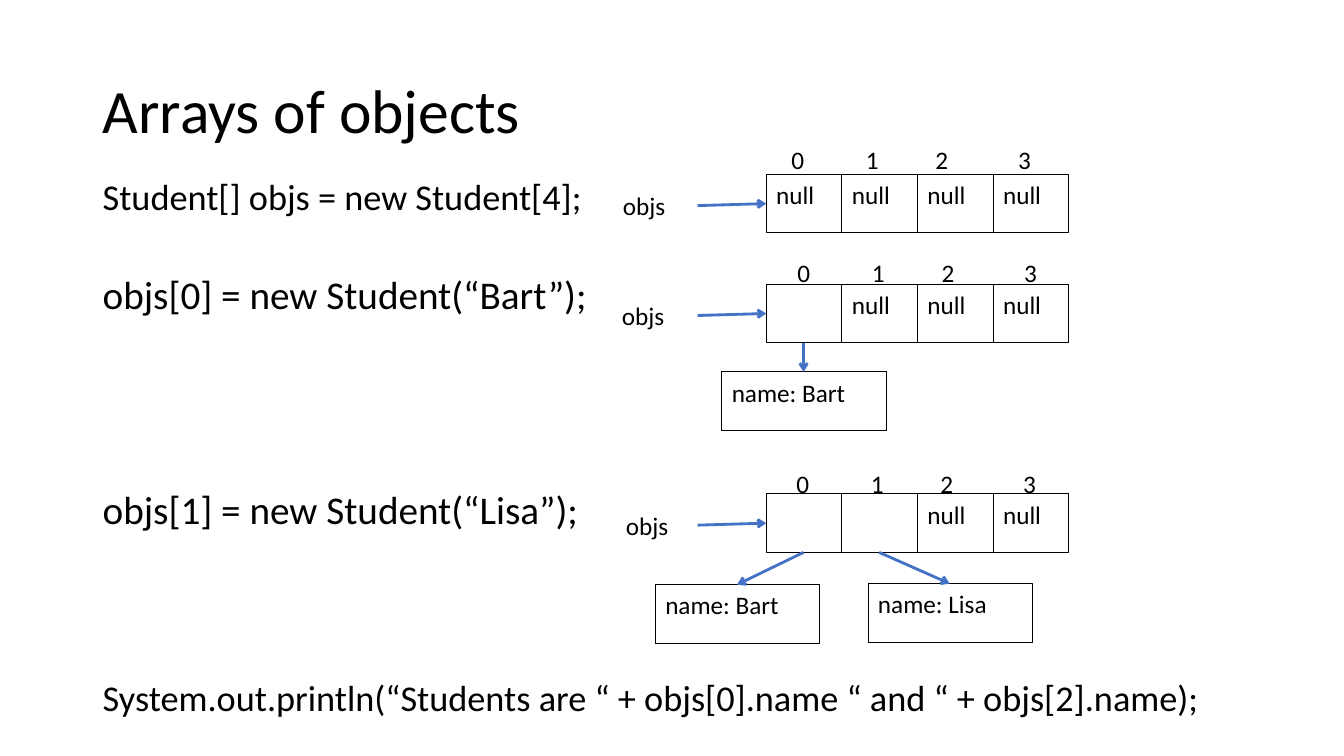
from lxml import etree
from pptx import Presentation
from pptx import util as u
from pptx.dml.color import RGBColor
from pptx.enum import shapes, text
from pptx.oxml import ns

PX = 9144  # EMU per px, 100 px to the inch
COLORS = {"ink": "000000", "arrow": "4472C4"}
CELL_LEFT, CELL_PITCH, BOX_HEIGHT, OBJECT_WIDTH = 760, 75, 58, 163
INDEX_OFFSETS = (0, 74, 143, 225)


class Sketch:
    font = "Calibri"

    def __init__(self, presentation):
        layout = presentation.slide_layouts.get_by_name("Title Only")
        self.slide = presentation.slides.add_slide(layout)

    def color(self, name):
        return RGBColor.from_string(COLORS[name])

    def set_text(self, shape, words, size, anchor=text.MSO_ANCHOR.TOP):
        frame = shape.text_frame
        frame.text = words
        frame.word_wrap = True
        frame.vertical_anchor = anchor
        paragraph = frame.paragraphs[0]
        paragraph.alignment = text.PP_ALIGN.LEFT
        for run in paragraph.runs:
            run.font.name = self.font
            run.font.size = u.Pt(size)
            run.font.color.rgb = self.color("ink")
        return paragraph

    def title(self, words, left, top, width, height):
        shape = self.slide.shapes.title
        shape.left, shape.top = left * PX, top * PX
        shape.width, shape.height = width * PX, height * PX
        paragraph = self.set_text(shape, words, 44, text.MSO_ANCHOR.MIDDLE)
        paragraph.line_spacing = 0.9

    def label(self, words, left, top, width, height=40, size=18):
        shape = self.slide.shapes.add_textbox(
            left * PX, top * PX, width * PX, height * PX)
        return self.set_text(shape, words, size)

    def code(self, words, top, size, width=502):
        paragraph = self.label(words, 92, top, width, 80, size)
        paragraph.line_spacing = 0.9
        paragraph.space_before = u.Pt(10)

    def box(self, words, left, top, width):
        shape = self.slide.shapes.add_shape(
            shapes.MSO_SHAPE.RECTANGLE,
            left * PX, top * PX, width * PX, BOX_HEIGHT * PX)
        shape.shadow.inherit = False
        shape.fill.background()
        shape.line.color.rgb = self.color("ink")
        shape.line.width = u.Pt(0.75)
        self.set_text(shape, words, 18)

    def arrow(self, x1, y1, x2, y2):
        connector = self.slide.shapes.add_connector(
            shapes.MSO_CONNECTOR.STRAIGHT, x1 * PX, y1 * PX, x2 * PX, y2 * PX)
        connector.line.color.rgb = self.color("arrow")
        connector.line.width = u.Pt(2)
        properties = connector._element.spPr
        line = properties.find(ns.qn("a:ln"))
        etree.SubElement(line, ns.qn("a:tailEnd"), type="arrow")
        etree.SubElement(properties, ns.qn("a:effectLst"))

    def array(self, cells, top, name_left, index_left, index_top):
        """Draw the cells with their indexes and the reference to them."""
        for index, (words, offset) in enumerate(zip(cells, INDEX_OFFSETS)):
            self.box(words, CELL_LEFT + index * CELL_PITCH, top, CELL_PITCH)
            self.label(str(index), index_left + offset, index_top, 36)
        self.label("objs", name_left, top + 11, 84)
        self.arrow(692, top + 31, CELL_LEFT, top + 29)

    def student(self, name, left, top, cell, array_top):
        """Draw an object and the arrow to it from its array cell."""
        self.box(f"name: {name}", left, top, OBJECT_WIDTH)
        cell_middle = CELL_LEFT + cell * CELL_PITCH + CELL_PITCH // 2
        self.arrow(cell_middle, array_top + BOX_HEIGHT,
                   left + OBJECT_WIDTH // 2, top)


def main():
    presentation = Presentation()
    presentation.slide_width = u.Inches(13.33)
    presentation.slide_height = u.Inches(7.5)
    sketch = Sketch(presentation)

    sketch.title("Arrays of objects", 92, 40, 1150, 145)
    sketch.code("Student[] objs = new Student[4];", 173, 25.9)
    sketch.code("objs[0] = new Student(“Bart”);", 269, 28)
    sketch.code("objs[1] = new Student(“Lisa”);", 482, 28)
    sketch.code("System.out.println(“Students are “ + objs[0].name “ and “ "
                "+ objs[2].name);", 670, 25.9, 1129)

    sketch.array(["null"] * 4, 173, 608, 775, 138)
    sketch.array([""] + ["null"] * 3, 282, 607, 781, 250)
    sketch.array([""] * 2 + ["null"] * 2, 490, 611, 780, 460)

    sketch.student("Bart", 716, 369, 0, 282)
    sketch.student("Bart", 650, 580, 0, 490)
    sketch.student("Lisa", 861, 579, 1, 490)

    presentation.save("out.pptx")


if __name__ == "__main__":
    main()
